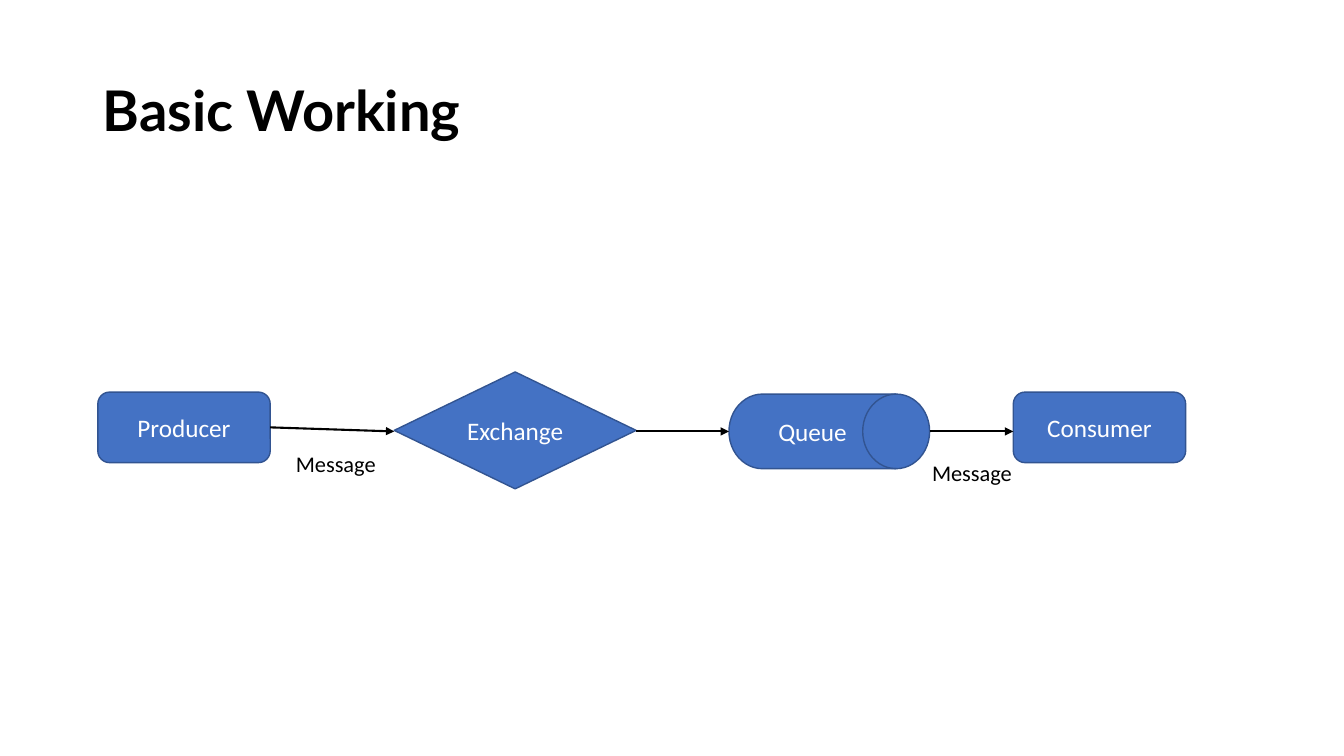
from lxml import etree
from pptx import Presentation
from pptx.dml.color import RGBColor
from pptx.enum.shapes import MSO_CONNECTOR, MSO_SHAPE
from pptx.enum.text import MSO_ANCHOR, PP_ALIGN
from pptx.oxml.ns import qn
from pptx.util import Inches, Pt

BLACK = RGBColor(0x00, 0x00, 0x00)
WHITE = RGBColor(0xFF, 0xFF, 0xFF)
BLUE = RGBColor(0x44, 0x72, 0xC4)
DARK_BLUE = RGBColor(0x32, 0x54, 0x91)


class FlowSlide:
    """A titled slide with the style of its message flow."""

    title_font = "Lato"
    body_font = "Calibri"

    def __init__(self, prs):
        self.slide = prs.slides.add_slide(prs.slide_layouts[5])

    def set_text(self, shape, text, font, size, color, align, bold=False):
        shape.text_frame.word_wrap = True
        paragraph = shape.text_frame.paragraphs[0]
        paragraph.text = text
        paragraph.alignment = align
        paragraph.font.name = font
        paragraph.font.size = Pt(size)
        paragraph.font.bold = bold
        paragraph.font.color.rgb = color
        return paragraph

    def title(self, text, left, top, width, height):
        heading = self.slide.shapes.title
        heading.left, heading.top = Inches(left), Inches(top)
        heading.width, heading.height = Inches(width), Inches(height)
        heading.text_frame.vertical_anchor = MSO_ANCHOR.MIDDLE
        paragraph = self.set_text(heading, text, self.title_font, 40, BLACK,
                                  PP_ALIGN.LEFT, bold=True)
        paragraph.line_spacing = 0.9

    def node(self, kind, text, left, top, width, height):
        node = self.slide.shapes.add_shape(
            kind, Inches(left), Inches(top), Inches(width), Inches(height))
        node.shadow.inherit = False
        node.fill.solid()
        node.fill.fore_color.rgb = BLUE
        node.line.color.rgb = DARK_BLUE
        node.line.width = Pt(1)
        node.text_frame.vertical_anchor = MSO_ANCHOR.MIDDLE
        self.set_text(node, text, self.body_font, 18, WHITE, PP_ALIGN.CENTER)
        return node

    def arrow(self, source, target, start_y, end_y):
        """Draw an arrow from the right edge of source to the left edge of target."""
        arrow = self.slide.shapes.add_connector(
            MSO_CONNECTOR.STRAIGHT, source.left + source.width, Inches(start_y),
            target.left, Inches(end_y))
        arrow.line.color.rgb = BLACK
        arrow.line.width = Pt(1.5)
        properties = arrow._element.spPr
        etree.SubElement(properties.find(qn("a:ln")), qn("a:tailEnd"), type="triangle")
        etree.SubElement(properties, qn("a:effectLst"))

    def label(self, text, left, top, width=1.08, height=0.37):
        label = self.slide.shapes.add_textbox(
            Inches(left), Inches(top), Inches(width), Inches(height))
        self.set_text(label, text, self.body_font, 16, BLACK, PP_ALIGN.CENTER)


def main():
    prs = Presentation()
    prs.slide_width, prs.slide_height = Inches(13.33), Inches(7.5)

    flow = FlowSlide(prs)
    flow.title("Basic Working", 0.92, 0.4, 11.5, 1.45)

    producer = flow.node(MSO_SHAPE.ROUNDED_RECTANGLE, "Producer", 0.97, 3.89, 1.71, 0.7)
    exchange = flow.node(MSO_SHAPE.DIAMOND, "Exchange", 3.91, 3.69, 2.4, 1.16)
    queue = flow.node(MSO_SHAPE.FLOWCHART_DIRECT_ACCESS_STORAGE, "Queue",
                      7.23, 3.91, 1.99, 0.74)
    consumer = flow.node(MSO_SHAPE.ROUNDED_RECTANGLE, "Consumer", 10.05, 3.89, 1.71, 0.7)

    flow.arrow(producer, exchange, 4.24, 4.28)
    flow.arrow(exchange, queue, 4.28, 4.28)
    flow.arrow(queue, consumer, 4.28, 4.28)

    for left, top in ((2.79, 4.42), (9.1, 4.51)):
        flow.label("Message", left, top)

    prs.save("out.pptx")


if __name__ == "__main__":
    main()
